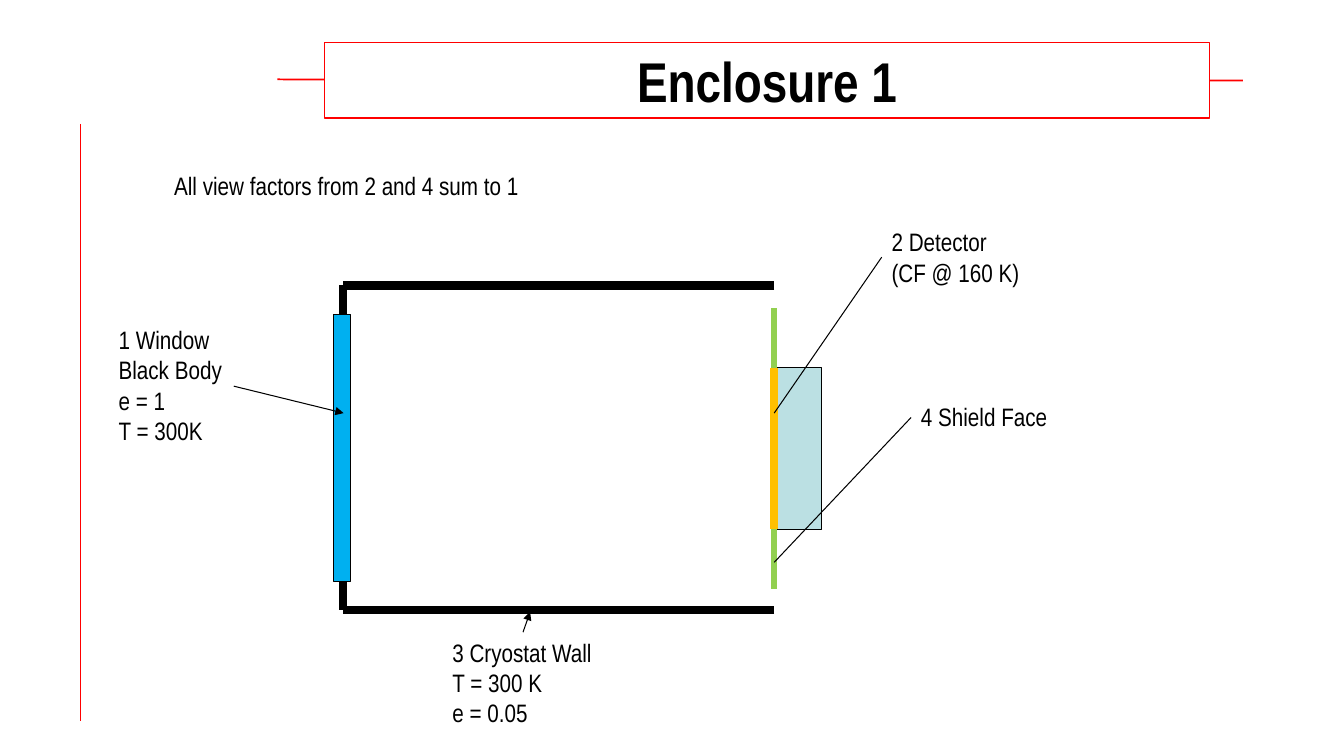
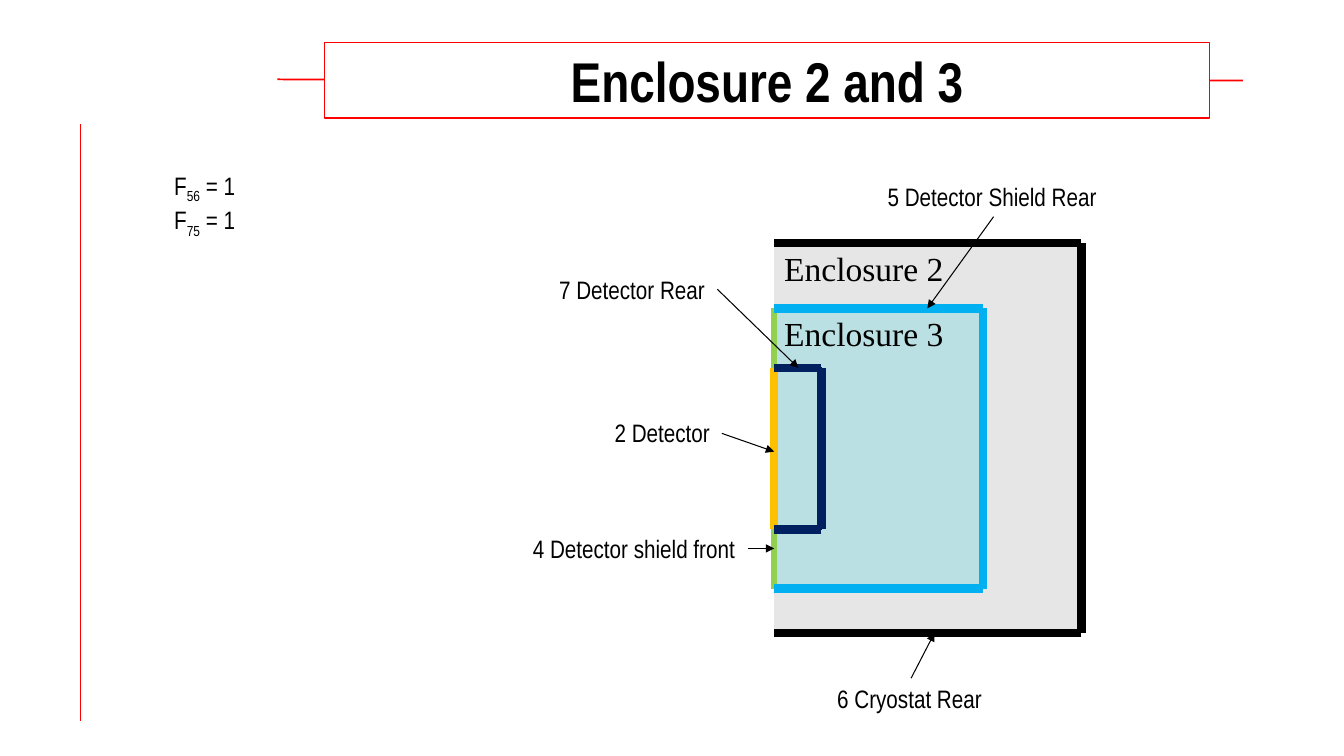
from lxml.etree import SubElement
from pptx import Presentation
from pptx.dml.color import RGBColor
from pptx.enum.shapes import MSO_CONNECTOR, MSO_SHAPE
from pptx.enum.text import MSO_ANCHOR, MSO_AUTO_SIZE, PP_ALIGN
from pptx.oxml.ns import qn
from pptx.util import Cm, Pt

BLACK, WHITE, RED = "000000", "FFFFFF", "FF0000"
GREEN, GOLD, CYAN, NAVY = "92D050", "FFC000", "00B0F0", "002060"
PALE_TEAL, PALE_GREY = "BBE0E3", "E6E6E6"
SANS, SERIF = "Arial Narrow", "Times New Roman"

FRONT = 19.51
DETECTOR_TOP, DETECTOR_BOTTOM, DETECTOR_REAR = 9.27, 13.34, 20.7
SHIELD_TOP, SHIELD_BOTTOM, SHIELD_REAR = 7.77, 14.83, 24.77
CRYOSTAT_TOP, CRYOSTAT_BOTTOM, CRYOSTAT_REAR = 6.12, 15.95, 27.25
WINDOW_TOP, WINDOW_BOTTOM = 7.92, 14.65
WALL_LEFT, WALL_TOP, WALL_BOTTOM = 8.65, 7.19, 15.37


def write_text(shape, text, size=18, font=SANS, bold=False, color=BLACK,
               align=PP_ALIGN.LEFT, anchor=MSO_ANCHOR.TOP, wrap=True):
    frame = shape.text_frame
    frame.word_wrap = wrap
    frame.auto_size = MSO_AUTO_SIZE.NONE if wrap else MSO_AUTO_SIZE.SHAPE_TO_FIT_TEXT
    frame.vertical_anchor = anchor
    for index, line in enumerate(text.split("\n")):
        paragraph = frame.add_paragraph() if index else frame.paragraphs[0]
        paragraph.alignment = align
        for part, piece in enumerate(line.split("_")):
            run = paragraph.add_run()
            run.text = piece
            run.font.name = font
            run.font.size = Pt(size)
            run.font.bold = bold
            run.font.color.rgb = RGBColor.from_string(color)
            if part % 2:
                run._r.get_or_add_rPr().set("baseline", "-25000")


def draw_line(slide, start, end, color=BLACK, width=0.75, arrow=False):
    points = [Cm(value) for value in (*start, *end)]
    connector = slide.shapes.add_connector(MSO_CONNECTOR.STRAIGHT, *points)
    connector.line.color.rgb = RGBColor.from_string(color)
    connector.line.width = Pt(width)
    if arrow:
        SubElement(connector.line._get_or_add_ln(), qn("a:tailEnd"), type="triangle")
    SubElement(connector.element.spPr, qn("a:effectLst"))
    return connector


detector_block = (FRONT, DETECTOR_TOP, DETECTOR_REAR, DETECTOR_BOTTOM, PALE_TEAL, BLACK, "")

front_view = {
    "title": "Enclosure 1",
    "blocks": [
        detector_block,
        (8.41, WINDOW_TOP, 8.84, WINDOW_BOTTOM, CYAN, BLACK, ""),
    ],
    "walls": [
        (BLACK, [(FRONT, WALL_TOP), (WALL_LEFT, WALL_TOP), (WALL_LEFT, WINDOW_TOP)]),
        (BLACK, [(FRONT, WALL_BOTTOM), (WALL_LEFT, WALL_BOTTOM), (WALL_LEFT, WINDOW_BOTTOM)]),
    ],
    "labels": [
        ("All view factors from 2 and 4 sum to 1", 4.14, 4.17, 9.3),
        ("1 Window\nBlack Body\ne = 1\nT = 300K", 2.74, 8.05, 3.15),
        ("3 Cryostat Wall\nT = 300 K\ne = 0.05", 11.15, 15.93, 4.06),
        ("2 Detector\n(CF @ 160 K)", 22.22, 5.59, 3.76),
        ("4 Shield Face", 22.96, 9.98, 3.73),
    ],
    "leaders": [
        ((5.89, 9.73), (8.66, 10.41), True),
        ((13.18, 15.93), (13.36, 15.42), True),
        ((22.22, 6.48), (FRONT, 10.41), False),
        ((22.96, 10.52), (FRONT, 14.17), False),
    ],
}

rear_view = {
    "title": "Enclosure 2 and 3",
    "blocks": [
        (FRONT, CRYOSTAT_TOP, CRYOSTAT_REAR, CRYOSTAT_BOTTOM, PALE_GREY, None, "Enclosure 2"),
        (FRONT, SHIELD_TOP, SHIELD_REAR, SHIELD_BOTTOM, PALE_TEAL, BLACK, "Enclosure 3"),
        detector_block,
    ],
    "walls": [
        (color, [(FRONT, top), (rear, top), (rear, bottom), (FRONT, bottom)])
        for color, top, rear, bottom in (
            (BLACK, CRYOSTAT_TOP, CRYOSTAT_REAR, CRYOSTAT_BOTTOM),
            (CYAN, SHIELD_TOP, SHIELD_REAR, SHIELD_BOTTOM),
            (NAVY, DETECTOR_TOP, DETECTOR_REAR, DETECTOR_BOTTOM),
        )
    ],
    "labels": [
        ("F_56_ = 1\nF_75_ = 1", 4.14, 4.17, 2.11),
        ("2 Detector", 15.24, 10.39, 2.95),
        ("4 Detector shield front", 13.18, 13.31, 5.66),
        ("5 Detector Shield Rear", 22.12, 4.45, 5.84),
        ("6 Cryostat Rear", 20.85, 17.09, 4.19),
        ("7 Detector Rear", 13.84, 6.78, 4.24),
    ],
    "leaders": [
        ((18.19, 10.92), (FRONT, 11.38), True),
        ((18.85, 13.82), (FRONT, 13.82), True),
        ((25.04, 5.46), (23.37, SHIELD_TOP), True),
        ((22.96, 17.09), (23.55, CRYOSTAT_BOTTOM), True),
        ((18.08, 7.29), (20.12, DETECTOR_TOP), True),
    ],
}

presentation = Presentation()
presentation.slide_width = Cm(33.87)
presentation.slide_height = Cm(19.05)
layout = presentation.slide_layouts[5]
title_rules = [((6.99, 2), (31.32, 2.03)), ((2.03, 3.12), (2.03, 18.16))]

for number, view in enumerate((front_view, rear_view)):
    slide = presentation.slides.add_slide(layout)
    if number == 0:
        for start, end in title_rules:
            rule = draw_line(slide, start, end, RED, 1.25)
            layout.shapes.element.append(rule.element)

    title = slide.shapes.title
    title.left, title.top, title.width, title.height = Cm(8.18), Cm(1.07), Cm(22.3), Cm(1.9)
    title.fill.solid()
    title.fill.fore_color.rgb = RGBColor.from_string(WHITE)
    title.line.color.rgb = RGBColor.from_string(RED)
    title.line.width = Pt(1.25)
    write_text(title, view["title"], size=40, bold=True,
               align=PP_ALIGN.CENTER, anchor=MSO_ANCHOR.MIDDLE)

    for left, top, right, bottom, fill, outline, caption in view["blocks"]:
        block = slide.shapes.add_shape(
            MSO_SHAPE.RECTANGLE, Cm(left), Cm(top), Cm(right - left), Cm(bottom - top))
        block.shadow.inherit = False
        block.fill.solid()
        block.fill.fore_color.rgb = RGBColor.from_string(fill)
        if outline:
            block.line.color.rgb = RGBColor.from_string(outline)
            block.line.width = Pt(0.75)
        else:
            block.line.fill.background()
        if caption:
            write_text(block, caption, size=24, font=SERIF)

    draw_line(slide, (FRONT, SHIELD_TOP), (FRONT, DETECTOR_TOP), GREEN, 4.5)
    draw_line(slide, (FRONT, DETECTOR_BOTTOM), (FRONT, SHIELD_BOTTOM), GREEN, 4.5)
    draw_line(slide, (FRONT, DETECTOR_TOP), (FRONT, DETECTOR_BOTTOM), GOLD, 6)

    for color, corners in view["walls"]:
        for start, end in zip(corners, corners[1:]):
            draw_line(slide, start, end, color, 6)

    for text, left, top, width in view["labels"]:
        height = 0.26 + 0.77 * len(text.split("\n"))
        label = slide.shapes.add_textbox(Cm(left), Cm(top), Cm(width), Cm(height))
        write_text(label, text, wrap=False)

    for start, end, arrow in view["leaders"]:
        draw_line(slide, start, end, arrow=arrow)

presentation.save("out.pptx")
